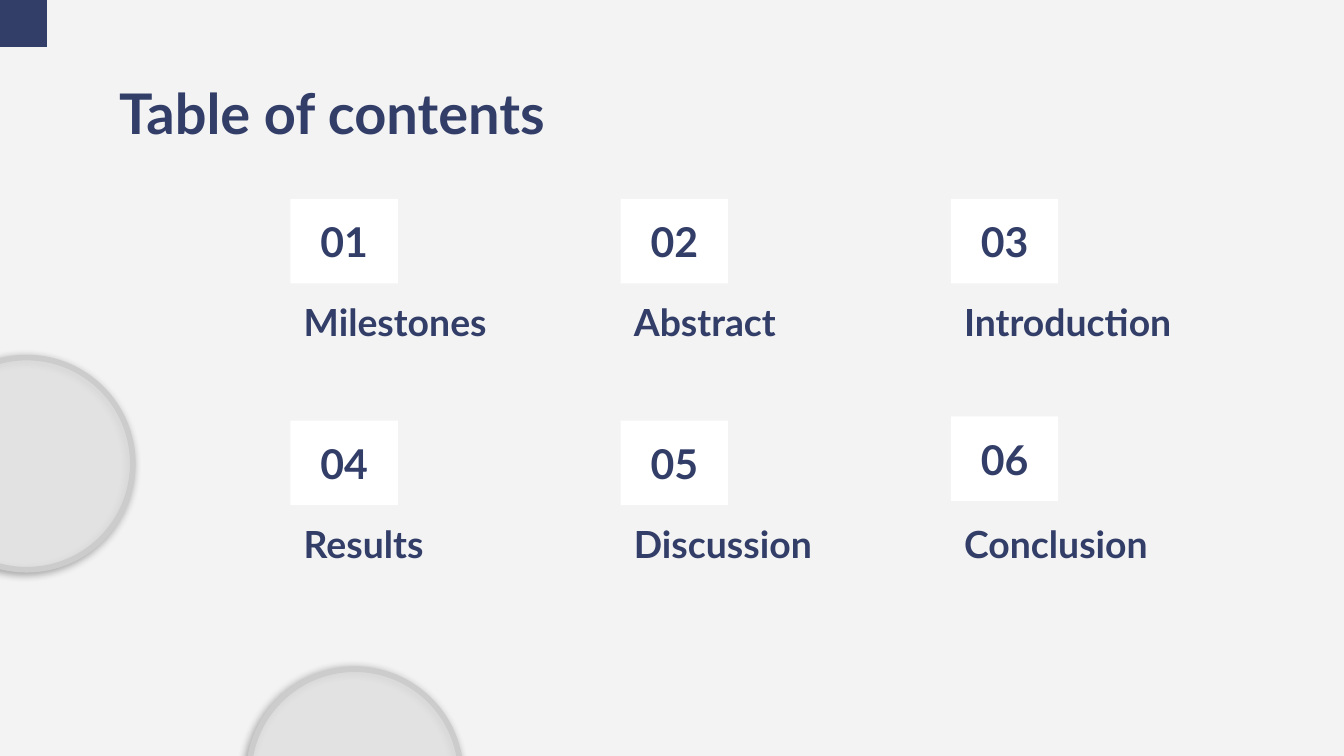
"""Build the table of contents slide."""
from dataclasses import dataclass

from lxml import etree
from pptx import Presentation
from pptx.dml.color import RGBColor
from pptx.enum.shapes import MSO_SHAPE
from pptx.enum.text import MSO_ANCHOR, PP_ALIGN
from pptx.oxml.ns import qn
from pptx.util import Cm, Pt

RECT, OVAL = MSO_SHAPE.RECTANGLE, MSO_SHAPE.OVAL
TOP, MIDDLE, BOTTOM = MSO_ANCHOR.TOP, MSO_ANCHOR.MIDDLE, MSO_ANCHOR.BOTTOM
LEFT, CENTER = PP_ALIGN.LEFT, PP_ALIGN.CENTER


@dataclass(frozen=True)
class Theme:
    font: str = "Lato"
    background: str = "F3F3F3"
    navy: str = "323E68"
    white: str = "FFFFFF"
    ring: str = "CCCCCC"
    shadow: str = "191919"
    title_size: int = 30
    number_size: int = 22
    label_size: int = 20


THEME = Theme()
SECTIONS = ["Milestones", "Abstract", "Introduction",
            "Results", "Discussion", "Conclusion"]
COLUMNS = 3
GRID_LEFT, COLUMN_STEP = 5.49, 6.24
NUMBER_TOPS = [3.76, 3.76, 3.76, 7.95, 7.95, 7.87]
LABEL_ROWS = [(5.36, 1.4), (9.63, 1.32)]
LABEL_WIDTHS = [5.46, 5.46, 5.46, 5.46, 9.12, 9.12]


def set_all(target, values):
    for name, value in values.items():
        setattr(target, name, value)


def add_shape(slide, kind, box, color):
    sp = slide.shapes.add_shape(kind, *map(Cm, box))
    sp.shadow.inherit = False
    sp.fill.solid()
    sp.fill.fore_color.rgb = RGBColor.from_string(color)
    sp.line.fill.background()
    return sp


def add_circle(slide, left, top):
    sp = add_shape(slide, OVAL, (left, top, 4.01, 4.01), THEME.white)
    sp.line.color.rgb = RGBColor.from_string(THEME.ring)
    sp.line.width = Pt(3)
    props = sp._element.spPr
    fill = props.find(qn("a:solidFill")).find(qn("a:srgbClr"))
    etree.SubElement(fill, qn("a:alpha"), val="53000")
    shadow = etree.SubElement(
        props.find(qn("a:effectLst")), qn("a:outerShdw"),
        blurRad=str(Pt(4.5)), dist=str(Pt(1.5)), dir=str(138 * 60000),
        algn="bl", rotWithShape="0")
    color = etree.SubElement(shadow, qn("a:srgbClr"), val=THEME.shadow)
    etree.SubElement(color, qn("a:alpha"), val="42000")


def write(sp, text, size, anchor, align):
    tf = sp.text_frame
    inset = Cm(0.25)
    set_all(tf, {"word_wrap": True, "vertical_anchor": anchor,
                 "margin_left": inset, "margin_right": inset,
                 "margin_top": inset, "margin_bottom": inset})
    p = tf.paragraphs[0]
    p.alignment = align
    r = p.add_run()
    r.text = text
    set_all(r.font, {"name": THEME.font, "size": Pt(size), "bold": True})
    r.font.color.rgb = RGBColor.from_string(THEME.navy)


def add_text(slide, box, text, size, anchor):
    sp = slide.shapes.add_textbox(*map(Cm, box))
    write(sp, text, size, anchor, LEFT)


def add_section(slide, index, label):
    row, column = divmod(index, COLUMNS)
    left = GRID_LEFT + column * COLUMN_STEP
    sp = add_shape(slide, RECT, (left, NUMBER_TOPS[index], 2.03, 1.6), THEME.white)
    write(sp, f"{index + 1:02}", THEME.number_size, MIDDLE, CENTER)
    top, height = LABEL_ROWS[row]
    add_text(slide, (left, top, LABEL_WIDTHS[index], height), label,
             THEME.label_size, BOTTOM)


def main():
    prs = Presentation()
    set_all(prs, {"slide_width": Cm(25.4), "slide_height": Cm(14.29)})
    s = prs.slides.add_slide(prs.slide_layouts[6])
    s.background.fill.solid()
    s.background.fill.fore_color.rgb = RGBColor.from_string(THEME.background)
    add_circle(s, 4.7, 12.65)
    add_circle(s, -1.5, 6.76)
    add_shape(s, RECT, (0, 0, 0.89, 0.89), THEME.navy)
    add_text(s, (2, 1.24, 21.41, 1.6), "Table of contents", THEME.title_size, TOP)
    for index, label in enumerate(SECTIONS):
        add_section(s, index, label)
    prs.save("out.pptx")


if __name__ == "__main__":
    main()
